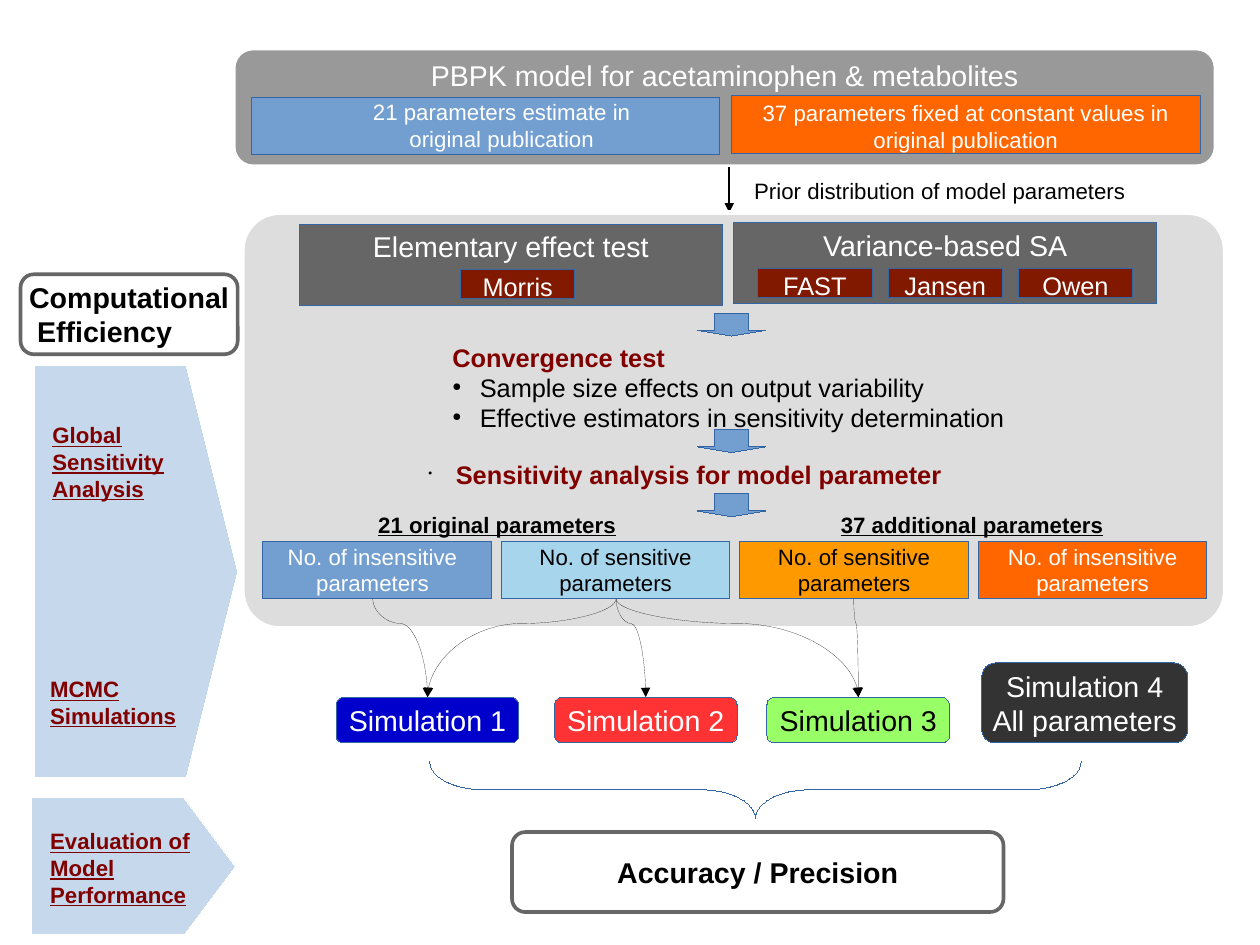
from lxml import etree
from pptx import Presentation
from pptx.dml.color import RGBColor
from pptx.enum.shapes import MSO_CONNECTOR as CONN, MSO_SHAPE as SHAPE
from pptx.enum.text import MSO_ANCHOR as ANCHOR, PP_ALIGN as ALIGN
from pptx.oxml import parse_xml
from pptx.oxml.ns import nsdecls, qn
from pptx.util import Inches, Pt

WHITE = RGBColor(0xFF, 0xFF, 0xFF)
BLACK = RGBColor(0x00, 0x00, 0x00)
EDGE = RGBColor(0x34, 0x65, 0xA4)
BLUE = RGBColor(0x72, 0x9F, 0xCF)
SKY = RGBColor(0x66, 0xCC, 0xFF)
ORANGE = RGBColor(0xFF, 0x66, 0x00)
AMBER = RGBColor(0xFF, 0x99, 0x00)
MAROON = RGBColor(0x80, 0x00, 0x00)
BRICK = RGBColor(0x80, 0x19, 0x00)
LIGHT = RGBColor(0xDD, 0xDD, 0xDD)
GRAY = RGBColor(0x99, 0x99, 0x99)
DARK = RGBColor(0x66, 0x66, 0x66)
CHARCOAL = RGBColor(0x33, 0x33, 0x33)
NAVY = RGBColor(0x00, 0x00, 0xCC)
RED = RGBColor(0xFF, 0x33, 0x33)
GREEN = RGBColor(0x99, 0xFF, 0x66)


def outline(sp, color, width):
    sp.line.color.rgb = color
    ln = sp.line._get_or_add_ln()
    ln.set("w", str(int(Pt(width))))
    return ln


def shape(s, kind, box, fill, line=EDGE, width=0, adj=(), alpha=None):
    sp = s.shapes.add_shape(kind, *map(Inches, box))
    sp.shadow.inherit = False
    if fill is None:
        sp.fill.background()
    else:
        sp.fill.solid()
        sp.fill.fore_color.rgb = fill
    if alpha:
        color = sp.fill._xPr.find(qn("a:solidFill"))[0]
        etree.SubElement(color, qn("a:alpha")).set("val", str(alpha * 1000))
    outline(sp, line, width)
    for i, value in enumerate(adj):
        sp.adjustments[i] = value
    return sp


def write(sp, lines, size, color, align=ALIGN.CENTER, anchor=ANCHOR.TOP,
          ins=(0.1, 0.05, 0.1, 0.05), wrap=True, bold=False, underline=False):
    tf = sp.text_frame
    tf.word_wrap = wrap
    tf.vertical_anchor = anchor
    tf.margin_left, tf.margin_top, tf.margin_right, tf.margin_bottom = map(Inches, ins)
    for i, text in enumerate(lines):
        p = tf.paragraphs[0] if i == 0 else tf.add_paragraph()
        p.alignment = align
        r = p.add_run()
        r.text = text
        r.font.name = "Arial"
        r.font.size = Pt(size)
        r.font.color.rgb = color
        r.font.bold = bold
        r.font.underline = underline
    return tf


def label(s, box, lines, size, color, **style):
    sp = s.shapes.add_textbox(*map(Inches, box))
    return write(sp, lines, size, color, **style)


def bullet(p, char):
    pPr = p._p.get_or_add_pPr()
    pPr.set("marL", str(Inches(0.24)))
    pPr.set("indent", str(-Inches(0.24)))
    for xml in (f'<a:buClr {nsdecls("a")}><a:srgbClr val="000000"/></a:buClr>',
                f'<a:buSzPct {nsdecls("a")} val="45000"/>',
                f'<a:buChar {nsdecls("a")} char="{char}"/>'):
        pPr.append(parse_xml(xml))


def arrow(s, kind, x1, y1, x2, y2, width):
    c = s.shapes.add_connector(kind, *map(Inches, (x1, y1, x2, y2)))
    ln = outline(c, BLACK, width)
    etree.SubElement(ln, qn("a:tailEnd")).set("type", "triangle")
    etree.SubElement(c._element.spPr, qn("a:effectLst"))
    return c


def curved_arrow(s, x1, y1, x2, y2):
    cx, cy = (x1 + x2) / 2, (y1 + y2) / 2
    along, across = (y2 - y1) / 2, abs(x2 - x1) / 2
    side = 1 if x2 > x1 else -1
    c = arrow(s, CONN.CURVE, cx + side * along, cy - across,
              cx - side * along, cy + across, 0)
    spPr = c._element.spPr
    spPr.find(qn("a:xfrm")).set("rot", str((270 if side > 0 else 90) * 60000))
    geom = spPr.find(qn("a:prstGeom"))
    guides = geom.find(qn("a:avLst"))
    if guides is None:
        guides = etree.SubElement(geom, qn("a:avLst"))
    gd = etree.SubElement(guides, qn("a:gd"))
    gd.set("name", "adj1")
    gd.set("fmla", "val 25000")


def model_panel(s, x, y, w, h):
    panel = shape(s, SHAPE.ROUNDED_RECTANGLE, (x, y, w, h), GRAY, WHITE, 3)
    write(panel, ["PBPK model for acetaminophen & metabolites"], 18, WHITE,
          ins=(0.1, 0.04, 0.1, 0))
    fixed = shape(s, SHAPE.RECTANGLE, (x + 4.36, y + 0.42, 4.1, 0.5), ORANGE)
    write(fixed, ["37 parameters fixed at constant values in original publication"],
          14, WHITE, ins=(0, 0.03, 0, 0))
    estimated = shape(s, SHAPE.RECTANGLE, (x + 0.16, y + 0.43, 4.1, 0.5), BLUE)
    write(estimated, ["21 parameters estimate in original publication"],
          14, WHITE, ins=(0.89, 0.01, 0.61, 0))
    arrow(s, CONN.STRAIGHT, x + 4.34, y + h, x + 4.34, y + h + 0.4, 1.5)
    label(s, (x + 4.46, y + h + 0.04, 3.6, 0.32),
          ["Prior distribution of model parameters"], 14, BLACK, align=ALIGN.LEFT)


def test_box(s, x, y, title, methods, first):
    sp = shape(s, SHAPE.RECTANGLE, (x, y, 3.7, 0.71), DARK)
    write(sp, [title], 18, WHITE, ins=(0.1, 0.04, 0.1, 0))
    for i, name in enumerate(methods):
        chip = shape(s, SHAPE.RECTANGLE, (x + first + i * 1.14, y + 0.4, 1, 0.25), BRICK)
        write(chip, [name], 16, WHITE, ins=(0, 0.01, 0, 0))


def analysis_panel(s, x, y, w, h):
    shape(s, SHAPE.ROUNDED_RECTANGLE, (x, y, w, h), LIGHT, WHITE, 3, adj=(0.09,))
    test_box(s, x + 0.5, y + 0.1, "Elementary effect test", ["Morris"], 1.41)
    test_box(s, x + 4.3, y + 0.09, "Variance-based SA", ["FAST", "Jansen", "Owen"], 0.21)

    tf = label(s, (x + 1.74, y + 1.08, 5.1, 0.92),
               ["Convergence test", "Sample size effects on output variability",
                "Effective estimators in sensitivity determination"],
               16, BLACK, align=ALIGN.LEFT)
    heading = tf.paragraphs[0].runs[0].font
    heading.bold = True
    heading.color.rgb = MAROON
    for p in tf.paragraphs[1:]:
        bullet(p, "●")
    tf = label(s, (x + 1.53, y + 2.11, 5.75, 0.36),
               ["Sensitivity analysis for model parameter"],
               16, MAROON, align=ALIGN.LEFT, bold=True)
    bullet(tf.paragraphs[0], "•")
    for dy in (0.88, 1.9, 2.46):
        shape(s, SHAPE.DOWN_ARROW, (x + 3.98, y + dy, 0.6, 0.2), BLUE, adj=(0.5, 0.25))

    for dx, width, text in ((1.08, 2.3, "21 original parameters"),
                            (5.11, 2.55, "37 additional parameters")):
        label(s, (x + dx, y + 2.56, width, 0.32), [text], 14, BLACK,
              bold=True, underline=True)
    groups = (("insensitive", BLUE, WHITE, None), ("sensitive", SKY, BLACK, 45),
              ("sensitive", AMBER, BLACK, None), ("insensitive", ORANGE, WHITE, None))
    for i, (kind, fill, color, alpha) in enumerate(groups):
        sp = shape(s, SHAPE.RECTANGLE, (x + 0.18 + i * 6.26 / 3, y + 2.88, 2, 0.5),
                   fill, alpha=alpha)
        write(sp, [f"No. of {kind} parameters"], 14, color,
              ins=(0.16, 0.01, 0.24 if i == 0 else 0.16, 0))


def simulations(s, x, y, w, h):
    runs = ((0, 0.3, 1.6, NAVY, WHITE, ["Simulation 1"]),
            (1.91, 0.3, 1.6, RED, WHITE, ["Simulation 2"]),
            (3.77, 0.3, 1.6, GREEN, BLACK, ["Simulation 3"]),
            (5.65, 0, 1.8, CHARCOAL, WHITE, ["Simulation 4", "All parameters"]))
    for dx, dy, width, fill, color, lines in runs:
        sp = shape(s, SHAPE.ROUNDED_RECTANGLE, (x + dx, y + dy, width, h - dy), fill)
        write(sp, lines, 18, color, anchor=ANCHOR.MIDDLE, wrap=False)
    for start, target in ((0.32, 0), (2.45, 0), (2.45, 1), (2.45, 2), (4.53, 2)):
        curved_arrow(s, x + start, y - 0.56, x + runs[target][0] + 0.8, y + 0.3)
    brace = shape(s, SHAPE.LEFT_BRACE, (x + 3.42, y - 1.74, 0.5, 5.7), None,
                  adj=(0.95, 0.5))
    brace.rotation = 270


def framed(s, box, lines):
    sp = shape(s, SHAPE.ROUNDED_RECTANGLE, box, WHITE, DARK, 2.3)
    return write(sp, lines, 18, BLACK, anchor=ANCHOR.MIDDLE, wrap=False, bold=True,
                 ins=(0.11, 0.06, 0.11, 0.06))


def efficiency_column(s, x, y, w, h):
    for dx, dy, height in ((0.12, 0.8, 3.6), (0.1, 4.58, 1.2)):
        shape(s, SHAPE.PENTAGON, (x + dx, y + dy, 1.78, height), BLUE, WHITE,
              adj=(0.45 / min(1.78, height),), alpha=40)
    tf = framed(s, (x, y, w, 0.7), ["Computational", "Efficiency"])
    second = tf.paragraphs[1]
    second.alignment = ALIGN.LEFT
    second._p.get_or_add_pPr().set("marL", str(Inches(0.07)))
    for dx, dy, width, text in ((0.18, 1.24, 1.18, "Global Sensitivity Analysis"),
                                (0.16, 3.46, 1.5, "MCMC Simulations"),
                                (0.16, 4.79, 1.5, "Evaluation of Model Performance")):
        label(s, (x + dx, y + dy, width, 0.75), [text], 14, MAROON,
              align=ALIGN.LEFT, bold=True, underline=True)


def main():
    prs = Presentation()
    prs.slide_width, prs.slide_height = Inches(28 / 2.54), Inches(21 / 2.54)
    s = prs.slides.add_slide(prs.slide_layouts[6])
    model_panel(s, 2.04, 0.42, 8.6, 1.04)
    analysis_panel(s, 2.12, 1.86, 8.6, 3.64)
    simulations(s, 2.94, 5.8, 7.45, 0.7)
    efficiency_column(s, 0.18, 2.4, 1.9, 5.78)
    framed(s, (4.48, 7.28, 4.3, 0.7), ["Accuracy / Precision"])
    prs.save("out.pptx")


if __name__ == "__main__":
    main()
